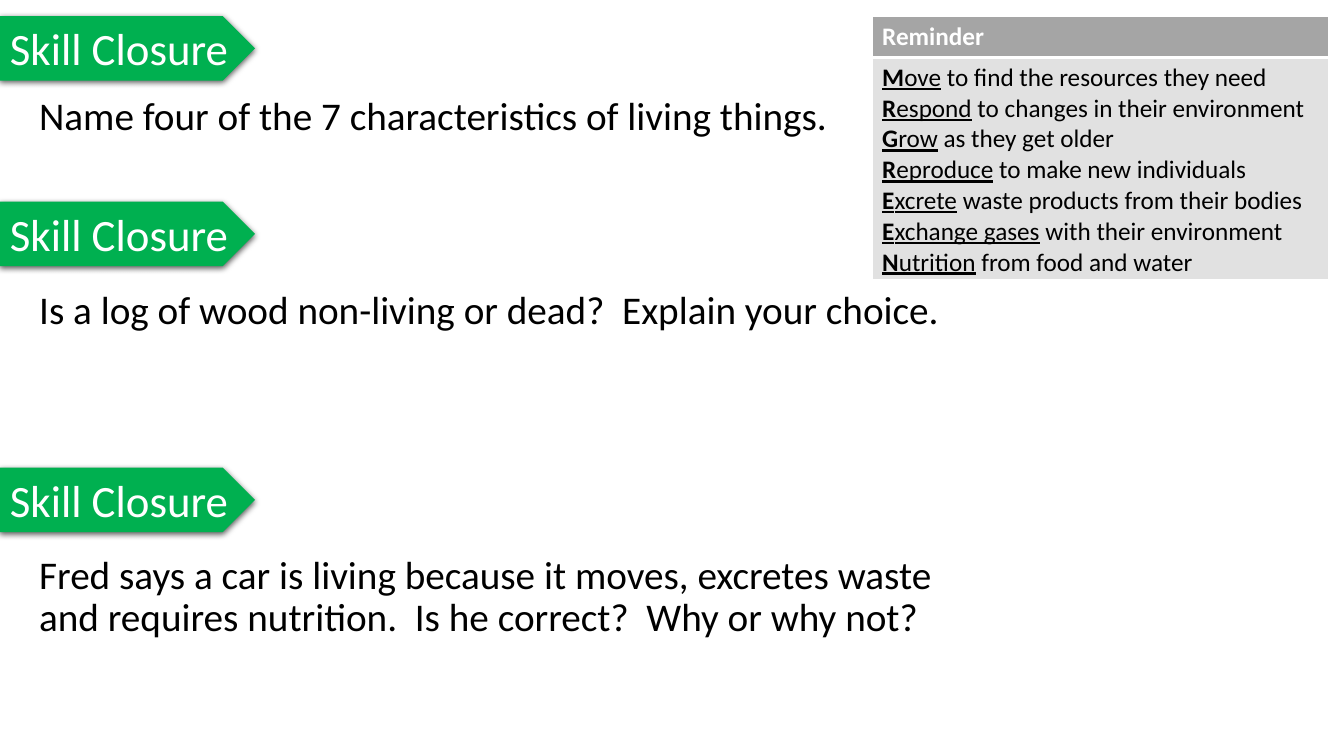
from lxml import etree
from pptx import Presentation
from pptx import util as u
from pptx.dml.color import RGBColor
from pptx.enum import shapes, text
from pptx.oxml.ns import qn

COLOURS = {"green": "00B050", "white": "FFFFFF", "black": "000000",
           "header": "A5A5A5", "body": "E1E1E1"}


def add_run(paragraph, words, size=18, colour="black", bold=False, underline=False):
    run = paragraph.add_run()
    run.text = words
    run.font.name = "Calibri"
    run.font.size = u.Pt(size)
    run.font.bold = bold
    run.font.underline = underline
    run.font.color.rgb = RGBColor.from_string(COLOURS[colour])


class ClosureSlide:
    """Holds the style and the current slide, and adds its elements."""

    def __init__(self, deck):
        self.slide = deck.slides.add_slide(deck.slide_layouts[6])

    def label(self, top, words):
        arrow = self.slide.shapes.add_shape(
            shapes.MSO_SHAPE.PENTAGON, 0, u.Inches(top), u.Inches(2.53), u.Inches(0.64))
        arrow.fill.solid()
        arrow.fill.fore_color.rgb = RGBColor.from_string(COLOURS["green"])
        arrow.line.fill.background()
        self.drop_shadow(arrow)
        frame = arrow.text_frame
        frame.word_wrap = False
        frame.auto_size = text.MSO_AUTO_SIZE.SHAPE_TO_FIT_TEXT
        frame.vertical_anchor = text.MSO_ANCHOR.TOP
        frame.paragraphs[0].alignment = text.PP_ALIGN.LEFT
        add_run(frame.paragraphs[0], words, size=32, colour="white")

    def drop_shadow(self, shape):
        shape.shadow.inherit = False
        effects = shape._element.spPr.find(qn("a:effectLst"))
        shadow = etree.SubElement(effects, qn("a:outerShdw"), blurRad=str(u.Pt(4.5)),
                                  dist=str(u.Pt(1.5)), dir="5400000", algn="t", rotWithShape="0")
        tint = etree.SubElement(shadow, qn("a:srgbClr"), val=COLOURS["black"])
        etree.SubElement(tint, qn("a:alpha"), val="63000")

    def question(self, top, width, height, words):
        box = self.slide.shapes.add_textbox(
            u.Inches(0.29), u.Inches(top), u.Inches(width), u.Inches(height))
        box.text_frame.word_wrap = True
        paragraph = box.text_frame.paragraphs[0]
        paragraph.line_spacing = 0.9
        add_run(paragraph, words, size=28)

    def cell_style(self, cell, fill, **borders):
        properties = cell._tc.get_or_add_tcPr()
        for side in ("lnL", "lnR", "lnT", "lnB"):
            line = etree.SubElement(properties, qn(f"a:{side}"), w=str(u.Pt(borders.get(side, 1))))
            paint = etree.SubElement(line, qn("a:solidFill"))
            etree.SubElement(paint, qn("a:srgbClr"), val=COLOURS["white"])
        cell.fill.solid()
        cell.fill.fore_color.rgb = RGBColor.from_string(COLOURS[fill])

    def reminder(self, title, processes):
        table = self.slide.shapes.add_table(
            2, 1, u.Inches(8.65), u.Inches(0.16), u.Inches(4.53), u.Inches(2.61)).table
        table.horz_banding = False
        table.rows[0].height = u.Inches(0.41)
        table.rows[1].height = u.Inches(2.2)
        header, body = table.cell(0, 0), table.cell(1, 0)
        self.cell_style(header, "header", lnB=3)
        self.cell_style(body, "body", lnT=3)
        add_run(header.text_frame.paragraphs[0], title, colour="white", bold=True)
        frame = body.text_frame
        for index, (process, detail) in enumerate(processes):
            paragraph = frame.add_paragraph() if index else frame.paragraphs[0]
            add_run(paragraph, process[0], bold=True, underline=True)
            add_run(paragraph, process[1:], underline=True)
            add_run(paragraph, " " + detail)


QUESTIONS = [
    (0.16, 0.91, 9.71, 0.97, "Name four of the 7 characteristics of living things."),
    (2, 2.83, 9.59, 1.63, "Is a log of wood non-living or dead?  Explain your choice."),
    (4.64, 5.46, 9.26, 1.79, "Fred says a car is living because it moves, excretes waste "
                             "and requires nutrition.  Is he correct?  Why or why not?"),
]
PROCESSES = [
    ("Move", "to find the resources they need"),
    ("Respond", "to changes in their environment"),
    ("Grow", "as they get older"),
    ("Reproduce", "to make new individuals"),
    ("Excrete", "waste products from their bodies"),
    ("Exchange gases", "with their environment"),
    ("Nutrition", "from food and water"),
]


def main():
    deck = Presentation()
    deck.slide_width = u.Inches(13.33)
    deck.slide_height = u.Inches(7.5)
    closure = ClosureSlide(deck)
    for label_top, top, width, height, words in QUESTIONS:
        closure.label(label_top, "Skill Closure")
        closure.question(top, width, height, words)
    closure.reminder("Reminder", PROCESSES)
    deck.save("out.pptx")


if __name__ == "__main__":
    main()
